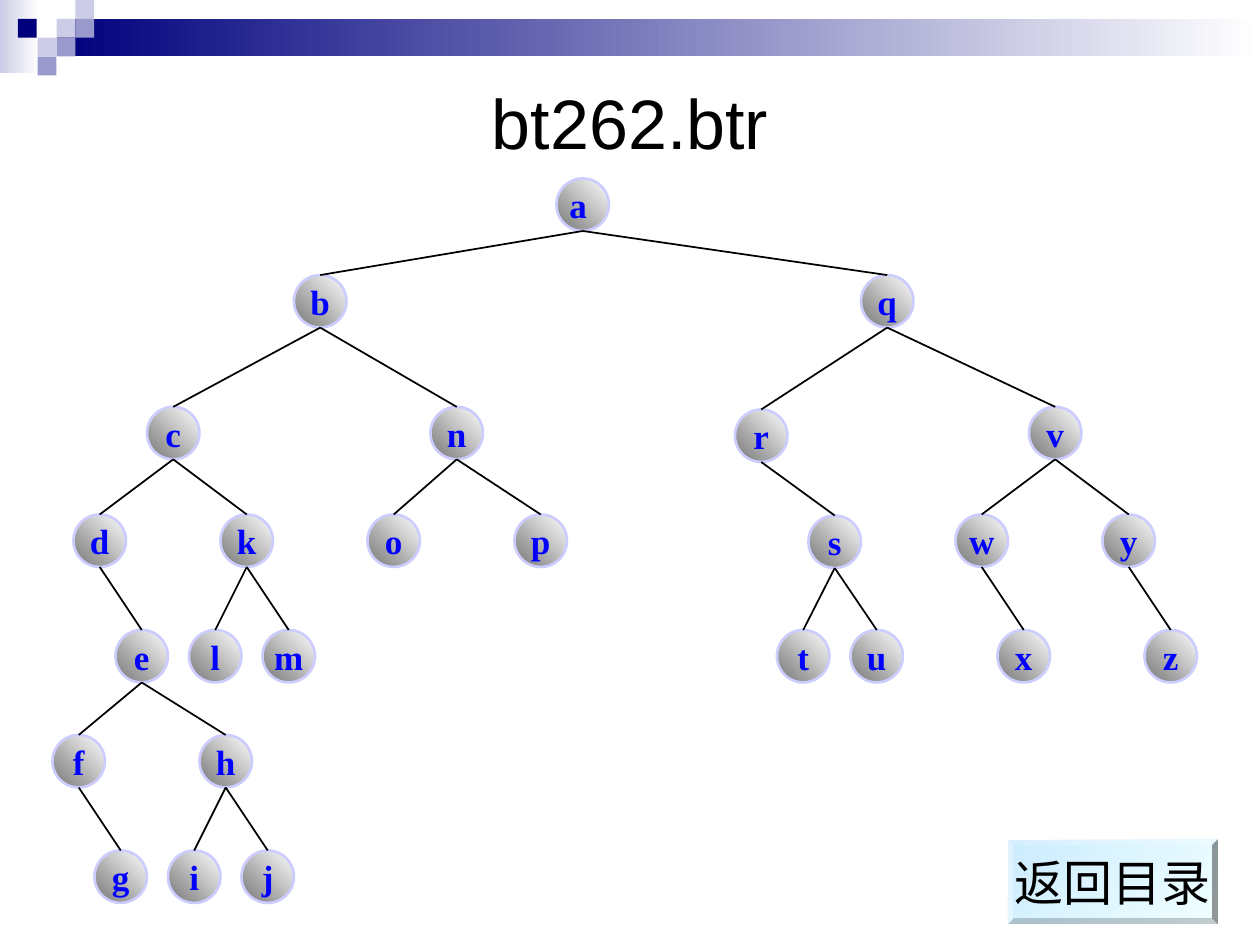
from lxml import etree
from pptx import Presentation
from pptx.dml.color import RGBColor
from pptx.enum.shapes import MSO_CONNECTOR, MSO_SHAPE
from pptx.enum.text import MSO_ANCHOR, PP_ALIGN
from pptx.oxml.ns import qn
from pptx.util import Cm, Pt

RECTANGLE = MSO_SHAPE.RECTANGLE
OVAL = MSO_SHAPE.OVAL
BEVEL = MSO_SHAPE.BEVEL
STRAIGHT = MSO_CONNECTOR.STRAIGHT
MIDDLE = MSO_ANCHOR.MIDDLE
CENTER = PP_ALIGN.CENTER

COLOURS = {
    "navy": "00007D", "lavender": "CCCCE6", "violet": "9999CC",
    "white": "FFFFFF", "black": "000000", "grey": "767676",
    "outline": "CCCCFF", "letter": "0000FF",
    "button": "CCECFF", "button_light": "F0FFFF",
}
GRID = 2.54 / 12  # cm, the step the tree is laid out on
NODE_STEPS = 5

# Left and top of each node, in grid steps
NODES = {
    "a": (53, 17), "b": (28, 26.2), "q": (82, 26.2),
    "c": (14, 38.75), "n": (41, 38.75), "r": (70, 39), "v": (98, 38.75),
    "d": (7, 49), "k": (21, 49), "o": (35, 49), "p": (49, 49),
    "s": (77, 49.1), "w": (91, 49), "y": (105, 49),
    "e": (11, 60), "l": (18, 60), "m": (25, 60), "t": (74, 60),
    "u": (81, 60), "x": (95, 60), "z": (109, 60),
    "f": (5, 70), "h": (19, 70),
    "g": (9, 81), "i": (16, 81), "j": (23, 81),
}
CHILDREN = {
    "a": "bq", "b": "cn", "q": "rv", "c": "dk", "n": "op", "r": "s",
    "v": "wy", "d": "e", "k": "lm", "s": "tu", "w": "x", "y": "z",
    "e": "fh", "f": "g", "h": "ij",
}


def colour(name):
    return RGBColor.from_string(COLOURS[name])


def add_filled_shape(slide, kind, box, fill, angle=0):
    """Add a shape without outline; fill is one colour name or a pair."""
    shape = slide.shapes.add_shape(kind, *(Cm(length) for length in box))
    shape.shadow.inherit = False
    shape.line.fill.background()
    if isinstance(fill, str):
        shape.fill.solid()
        shape.fill.fore_color.rgb = colour(fill)
    else:
        shape.fill.gradient()
        shape.fill.gradient_angle = angle
        for stop, name in zip(shape.fill.gradient_stops, fill):
            stop.color.rgb = colour(name)
    return shape


def set_text(shape, text, font_name, size, colour_name, bold=False):
    frame = shape.text_frame
    frame.text = text
    frame.vertical_anchor = MIDDLE
    paragraph = frame.paragraphs[0]
    paragraph.alignment = CENTER
    font = paragraph.runs[0].font
    font.name = font_name
    font.size = Pt(size)
    font.bold = bold
    font.color.rgb = colour(colour_name)


def add_header(slide, left, top, width):
    """Draw the fading bar and the mosaic of small squares."""
    side = 0.38
    add_filled_shape(slide, RECTANGLE, (left, top, 0.79, 1.47),
                     ("lavender", "white"))
    bar_left = 3 * side
    add_filled_shape(slide, RECTANGLE,
                     (left + bar_left, top + side, width - bar_left, 0.76),
                     ("navy", "white"))
    squares = [
        (3, 1, "lavender"), (4, 0, "lavender"), (4, 1, "violet"),
        (2, 2, "lavender"), (0.95, 1, "navy"), (3, 2, "violet"),
        (2, 3, "violet"),
    ]
    for column, row, fill in squares:
        add_filled_shape(slide, RECTANGLE,
                         (left + column * side, top + row * side, side, side),
                         fill)


def add_title(slide, left, top, width, height):
    title = slide.shapes.title
    title.left, title.top = Cm(left), Cm(top)
    title.width, title.height = Cm(width), Cm(height)
    set_text(title, "bt262.btr", "Arial", 40, "black")


def add_node(slide, letter, left, top, size):
    node = add_filled_shape(slide, OVAL, (left, top, size, size),
                            ("grey", "white"), 45)
    node.line.color.rgb = colour("outline")
    node.line.width = Pt(1.5)
    node.text_frame.word_wrap = False
    set_text(node, letter, "Times New Roman", 20, "letter", bold=True)
    return node


def add_edge(slide, parent, child):
    """Draw a line from the bottom of the parent to the top of the child."""
    edge = slide.shapes.add_connector(
        STRAIGHT,
        parent.left + parent.width // 2, parent.top + parent.height,
        child.left + child.width // 2, child.top)
    edge.line.color.rgb = colour("black")
    edge.line.width = Pt(1)
    etree.SubElement(edge._element.spPr, qn("a:effectLst"))


def add_tree(slide, left, top):
    nodes = {}
    for letter, (column, row) in NODES.items():
        # The root label carries a trailing space
        label = "a " if letter == "a" else letter
        nodes[letter] = add_node(slide, label, left + column * GRID,
                                 top + row * GRID, NODE_STEPS * GRID)
    for parent, children in CHILDREN.items():
        for child in children:
            add_edge(slide, nodes[parent], nodes[child])


def add_return_button(slide, left, top, width, height):
    button = add_filled_shape(slide, BEVEL, (left, top, width, height),
                              ("button", "button_light"), 315)
    button.adjustments[0] = 0.06
    button.text_frame.word_wrap = False
    set_text(button, "返回目录", "Arial", 28, "black")


def main():
    presentation = Presentation()
    presentation.slide_width = Cm(25.4)
    presentation.slide_height = Cm(19.05)
    slide = presentation.slides.add_slide(presentation.slide_layouts[5])
    add_header(slide, 0, 0, 25.4)
    add_title(slide, 1.27, 1.27, 22.86, 2.34)
    add_return_button(slide, 20.32, 16.93, 4.23, 1.69)
    add_tree(slide, 0, 0)
    presentation.save("out.pptx")


if __name__ == "__main__":
    main()
